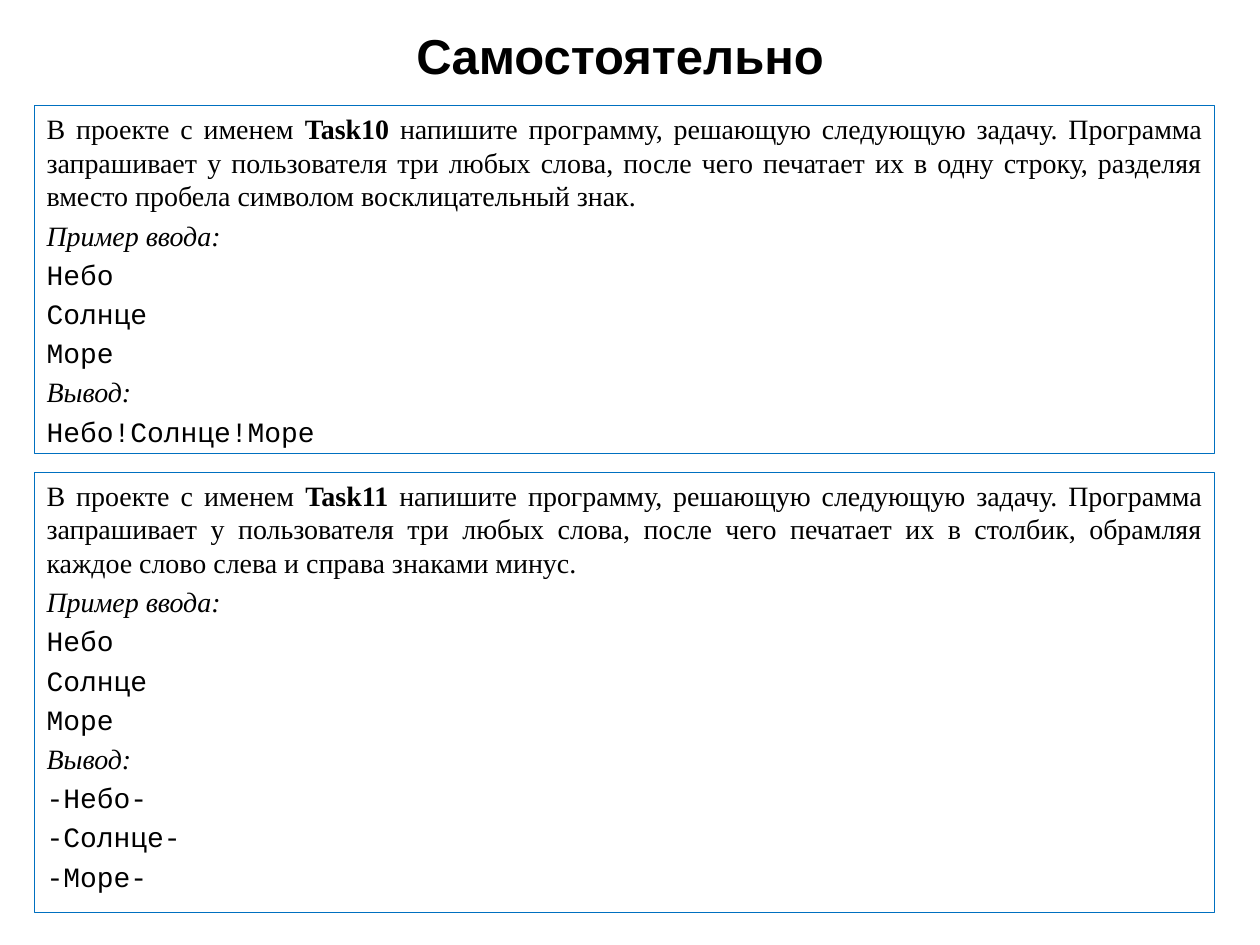
import pptx
import pptx.dml.color
import pptx.enum.shapes
import pptx.enum.text
import pptx.util

Cm = pptx.util.Cm
Pt = pptx.util.Pt
ALIGN = pptx.enum.text.PP_ALIGN
ANCHOR = pptx.enum.text.MSO_ANCHOR

BLACK = pptx.dml.color.RGBColor(0x00, 0x00, 0x00)
WHITE = pptx.dml.color.RGBColor(0xFF, 0xFF, 0xFF)
BLUE = pptx.dml.color.RGBColor(0x00, 0x70, 0xC0)

HEADING = {"name": "Arial", "size": Pt(28), "bold": True}
BODY = {"name": "Times New Roman", "size": Pt(16)}
STRONG = {**BODY, "bold": True}
LABEL = {**BODY, "italic": True}
CODE = {"name": "Courier New", "size": Pt(16)}

WORDS = ["Небо", "Солнце", "Море"]
OPENING = ("напишите программу, решающую следующую задачу. Программа запрашивает "
           "у пользователя три любых слова, после чего печатает их ")


def add_run(paragraph, text, style):
    """Append text to the paragraph in the given font style."""
    run = paragraph.add_run()
    run.text = text
    for attribute, value in style.items():
        setattr(run.font, attribute, value)
    run.font.color.rgb = BLACK


def add_heading(slide, text):
    """Add the centred slide heading."""
    heading = slide.shapes.add_textbox(Cm(1.07), Cm(0.33), Cm(22.86), Cm(1.57))
    frame = heading.text_frame
    frame.word_wrap = True
    frame.vertical_anchor = ANCHOR.MIDDLE
    frame.paragraphs[0].alignment = ALIGN.CENTER
    add_run(frame.paragraphs[0], text, HEADING)


def add_task(slide, top, height, name, ending, output, example_alignment):
    """Add a framed task with its statement, sample input and output."""
    task = slide.shapes.add_shape(pptx.enum.shapes.MSO_SHAPE.RECTANGLE,
                                  Cm(0.69), top, Cm(23.8), height)
    task.shadow.inherit = False
    task.fill.solid()
    task.fill.fore_color.rgb = WHITE
    task.line.color.rgb = BLUE
    task.line.width = Pt(0.75)
    frame = task.text_frame
    frame.word_wrap = True
    frame.vertical_anchor = ANCHOR.TOP

    statement = frame.paragraphs[0]
    statement.alignment = ALIGN.JUSTIFY
    add_run(statement, "В проекте с именем ", BODY)
    add_run(statement, f"{name} ", STRONG)
    add_run(statement, OPENING + ending, BODY)

    example = [("Пример ввода:", LABEL), *((word, CODE) for word in WORDS),
               ("Вывод:", LABEL), *((line, CODE) for line in output)]
    for text, style in example:
        paragraph = frame.add_paragraph()
        paragraph.alignment = example_alignment
        paragraph.space_before = Pt(3.2)
        add_run(paragraph, text, style)


def main():
    """Build the slide with two programming tasks."""
    deck = pptx.Presentation()
    deck.slide_width, deck.slide_height = Cm(25.4), Cm(19.05)
    slide = deck.slides.add_slide(deck.slide_layouts[6])
    add_heading(slide, "Cамостоятельно")
    add_task(slide, Cm(2.13), Cm(7.01), "Task10",
             "в одну строку, разделяя вместо пробела символом восклицательный знак.",
             ["!".join(WORDS)], ALIGN.LEFT)
    add_task(slide, Cm(9.52), Cm(8.87), "Task11",
             "в столбик, обрамляя каждое слово слева и справа знаками минус.",
             [f"-{word}-" for word in WORDS], ALIGN.JUSTIFY)
    deck.save("out.pptx")


if __name__ == "__main__":
    main()
